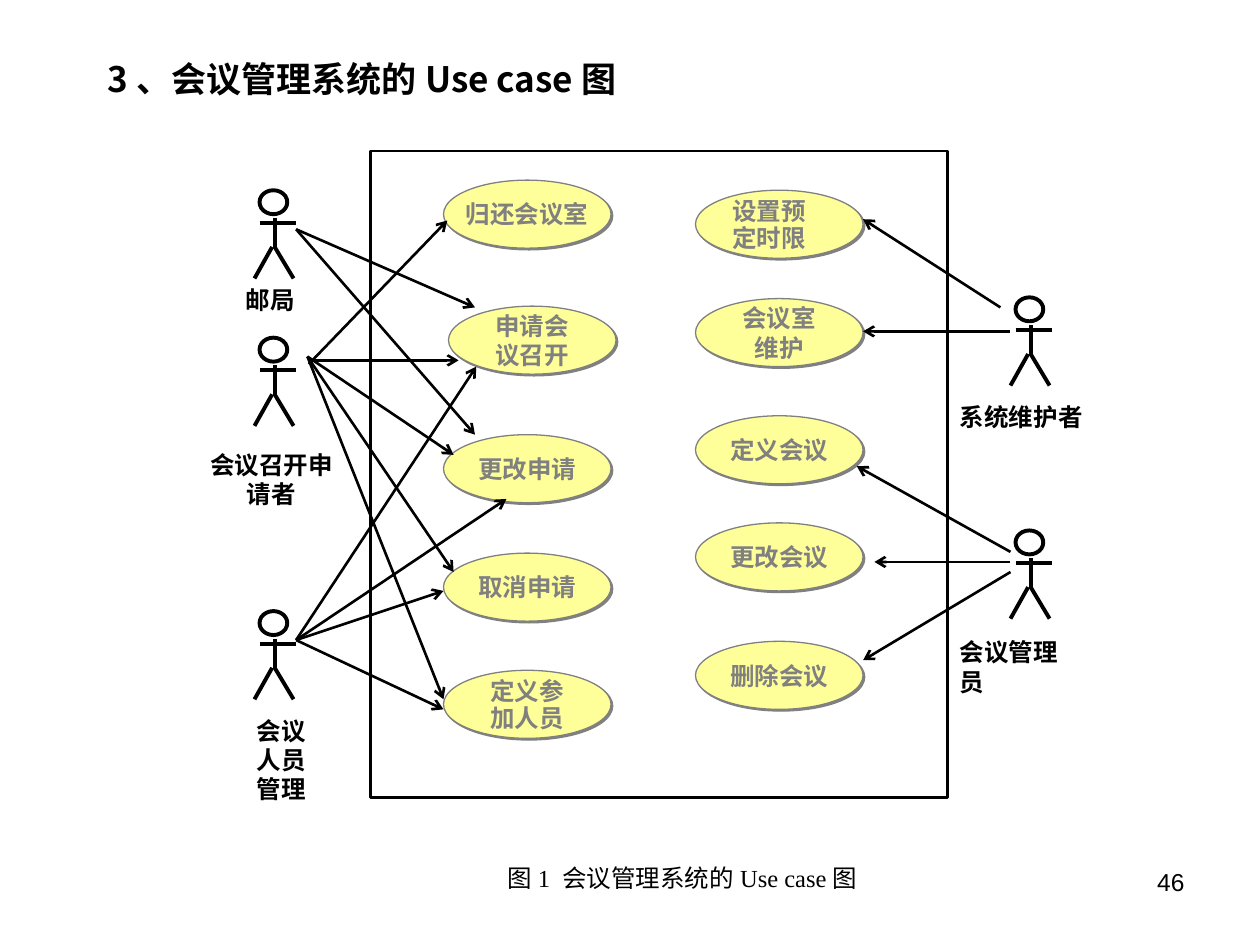
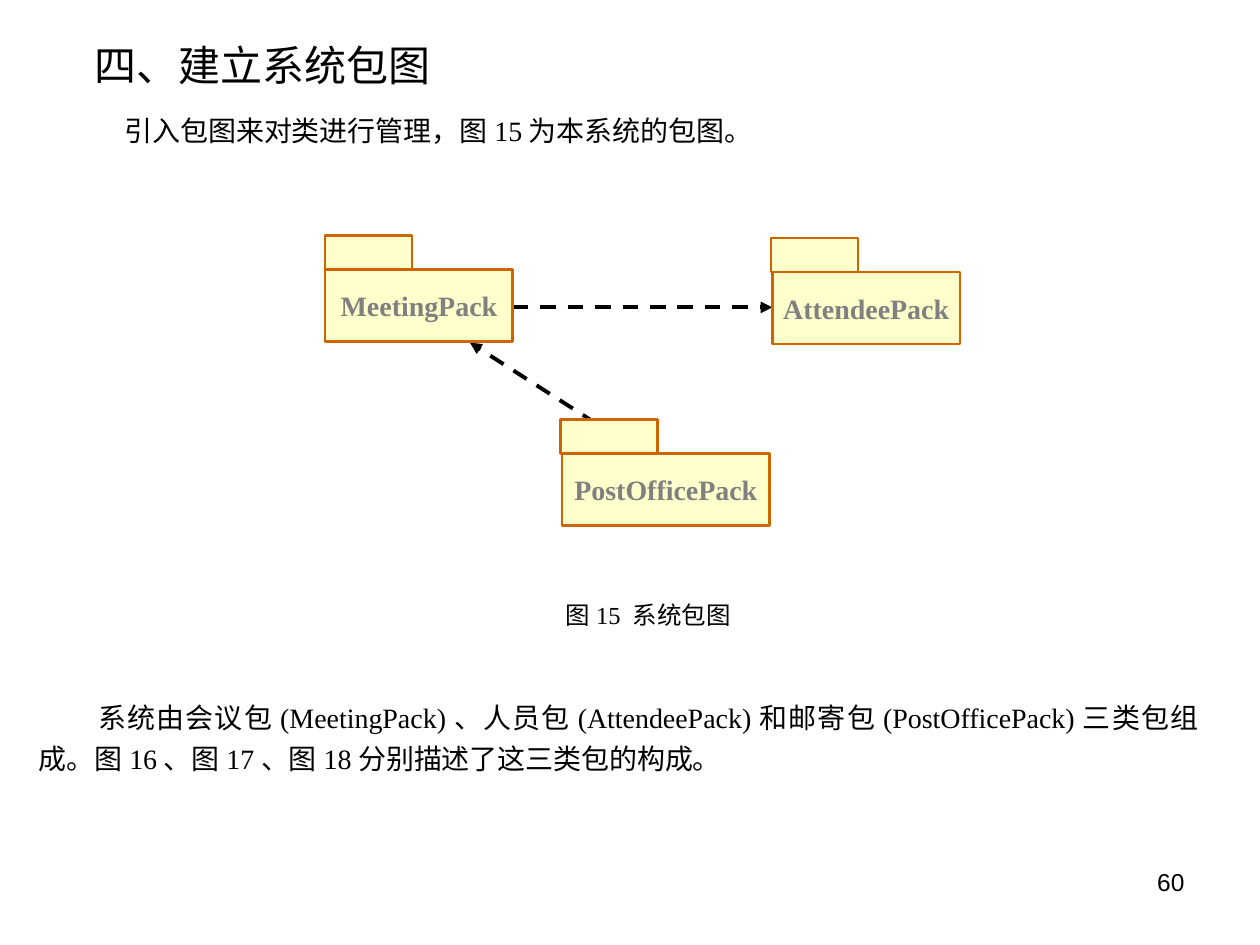
"""Build two slides of a meeting system design: a use case diagram and a package diagram."""
from lxml.etree import SubElement
from pptx import Presentation
from pptx.dml.color import RGBColor
from pptx.enum.dml import MSO_LINE
from pptx.enum.shapes import MSO_CONNECTOR, MSO_SHAPE
from pptx.enum.text import MSO_ANCHOR, MSO_AUTO_SIZE, PP_ALIGN
from pptx.oxml.ns import qn
from pptx.util import Inches, Pt

BLACK, GREY, YELLOW, CREAM, ORANGE = "000000", "808080", "FFFF99", "FFFFCC", "CC6600"
SERIF, SANS, CJK = "Times New Roman", "Arial", "Noto Sans CJK SC"
LEFT, CENTER, RIGHT, JUSTIFY = PP_ALIGN.LEFT, PP_ALIGN.CENTER, PP_ALIGN.RIGHT, PP_ALIGN.JUSTIFY
color = RGBColor.from_string


def write(box, text, size, font=SERIF, align=LEFT, bold=False, ink=BLACK, before=0, wrap=True):
    """Fill a box with text and format every run."""
    frame = box.text_frame
    frame.text = text
    frame.word_wrap = wrap
    frame.auto_size = MSO_AUTO_SIZE.NONE
    for para in frame.paragraphs:
        para.alignment = align
        para.space_before = Pt(before)
        for span in para.runs:
            span.font.name = font
            span.font.size = Pt(size)
            span.font.bold = bold
            span.font.color.rgb = color(ink)
            SubElement(span.font._element, qn("a:ea"), typeface=CJK)


def draw_line(shapes, start, end, width, arrow=None, dash=None):
    """Draw a straight black line, with an arrowhead at its end if named."""
    line = shapes.add_connector(MSO_CONNECTOR.STRAIGHT, *[Inches(n) for n in (*start, *end)])
    line.line.color.rgb = color(BLACK)
    line.line.width = Pt(width)
    if dash:
        line.line.dash_style = dash
    if arrow:
        SubElement(line.get_or_add_ln(), qn("a:tailEnd"), type=arrow)
    SubElement(line._element.spPr, qn("a:effectLst"))


deck = Presentation()
deck.slide_width, deck.slide_height = Inches(10), Inches(7.5)

pages = []
for title, left, top, size, font, bold, number in [
    ("3、会议管理系统的Use case图", 0.75, 0.33, 20, CJK, True, "46"),
    ("四、建立系统包图", 0.65, 0.22, 24, SANS, False, "60"),
]:
    page = deck.slides.add_slide(deck.slide_layouts[5])
    heading = page.shapes.title
    heading.left, heading.top = Inches(left), Inches(top)
    heading.width, heading.height = Inches(8.5), Inches(0.58)
    heading.text_frame.vertical_anchor = MSO_ANCHOR.MIDDLE
    write(heading, title, size, font, bold=bold)
    box = page.shapes.add_textbox(Inches(7.17), Inches(6.83), Inches(2.33), Inches(0.52))
    write(box, number, 14, SANS, RIGHT)
    pages.append(page)
use_case_page, package_page = pages

shapes = use_case_page.shapes
for text, left, top, align, spacing in [
    ("归还会议室", 3.52, 1.43, CENTER, 1),
    ("申请会\n议召开", 3.56, 2.43, CENTER, 1),
    ("更改申请", 3.52, 3.45, CENTER, 1),
    ("取消申请", 3.52, 4.39, CENTER, 1),
    ("定义参\n加人员", 3.52, 5.32, CENTER, 0.95),
    ("设置预\n定时限", 5.52, 1.51, LEFT, 0.95),
    ("会议室\n维护", 5.52, 2.37, CENTER, 1),
    ("定义会议", 5.52, 3.3, CENTER, 1),
    ("更改会议", 5.52, 4.15, CENTER, 1),
    ("删除会议", 5.52, 5.09, CENTER, 1),
]:
    use_case = shapes.add_shape(MSO_SHAPE.OVAL, Inches(left), Inches(top), Inches(1.33), Inches(0.54))
    use_case.fill.solid()
    use_case.fill.fore_color.rgb = color(YELLOW)
    use_case.line.color.rgb = color(GREY)
    use_case.line.width = Pt(0.75)
    use_case.shadow.inherit = False
    effects = use_case._element.spPr.find(qn("a:effectLst"))
    shadow = SubElement(effects, qn("a:outerShdw"), dist=str(Pt(1.4)), dir="2700000", algn="ctr", rotWithShape="0")
    SubElement(shadow, qn("a:srgbClr"), val=GREY)
    write(use_case, text, 14, align=align, bold=True, ink=GREY, wrap=False)
    use_case.text_frame.paragraphs[-1].line_spacing = spacing

limbs = [
    ((0.12, 0.22), (0.12, 0.46)),
    ((0.1, 0.45), (-0.04, 0.7)),
    ((0.12, 0.45), (0.27, 0.7)),
    ((0, 0.26), (0.29, 0.26)),
]
for left, top in [(2.06, 1.51), (2.06, 2.68), (2.06, 4.85), (8.06, 2.36), (8.06, 4.21)]:
    actor = shapes.add_group_shape().shapes
    head = actor.add_shape(MSO_SHAPE.OVAL, Inches(left), Inches(top), Inches(0.22), Inches(0.19))
    head.fill.background()
    head.line.color.rgb = color(BLACK)
    head.line.width = Pt(2.25)
    head.shadow.inherit = False
    for (x1, y1), (x2, y2) in limbs:
        draw_line(actor, (left + x1, top + y1), (left + x2, top + y2), 2.25)

for start, ends in [
    ((2.35, 1.82), [(3.77, 2.44), (3.77, 3.45)]),
    ((2.45, 2.89), [(3.55, 1.75)]),
    ((2.45, 2.86), [(3.64, 2.86)]),
    ((2.44, 2.83), [(3.6, 3.61), (3.6, 4.54), (3.52, 5.55)]),
    ((2.35, 5.08), [(3.78, 2.91), (4.02, 3.96), (3.52, 4.69), (3.52, 5.63)]),
    ((7.94, 2.44), [(6.85, 1.74)]),
    ((8.02, 2.63), [(6.85, 2.63)]),
    ((8.02, 4.38), [(6.8, 3.7)]),
    ((8.02, 4.46), [(6.94, 4.46)]),
    ((8.02, 4.54), [(6.85, 5.24)]),
]:
    for end in ends:
        draw_line(shapes, start, end, 1.5, "arrow")

for text, left, top, width, height, align in [
    ("邮局", 1.85, 2.21, 0.75, 0.34, LEFT),
    ("会议召开申请者", 1.49, 3.52, 1.33, 0.57, CENTER),
    ("会议人员管理", 1.94, 5.63, 0.75, 0.8, LEFT),
    ("系统维护者", 7.52, 3.14, 1.33, 0.34, LEFT),
    ("会议管理员", 7.52, 5.01, 1.1, 0.57, LEFT),
]:
    label = shapes.add_textbox(Inches(left), Inches(top), Inches(width), Inches(height))
    write(label, text, 14, align=align, bold=True, before=8.8)

boundary = shapes.add_shape(MSO_SHAPE.RECTANGLE, Inches(2.94), Inches(1.2), Inches(4.58), Inches(5.13))
boundary.fill.background()
boundary.line.color.rgb = color(BLACK)
boundary.line.width = Pt(1.5)
boundary.shadow.inherit = False

shapes = package_page.shapes
for text, left, top, width, height, spacing, indent in [
    ("引入包图来对类进行管理，图15为本系统的包图。", 0.44, 0.85, 9.11, 0.37, 1, 0.45),
    ("系统由会议包(MeetingPack)、人员包(AttendeePack)和邮寄包(PostOfficePack)三类包组成。"
     "图16、图17、图18分别描述了这三类包的构成。", 0.21, 5.46, 9.4, 0.74, 1.2, 0.47),
]:
    box = shapes.add_textbox(Inches(left), Inches(top), Inches(width), Inches(height))
    write(box, text, 16, align=JUSTIFY, before=10)
    para = box.text_frame.paragraphs[0]
    para.line_spacing = spacing
    settings = para._p.get_or_add_pPr()
    settings.set("indent", str(Inches(indent)))
    settings.set("hangingPunct", "0")

diagram = shapes.add_group_shape().shapes
for start, end in [((4.73, 3.36), (3.73, 2.72)), ((4.07, 2.44), (6.13, 2.44))]:
    draw_line(diagram, start, end, 2.25, "triangle", MSO_LINE.DASH)

for name, left, top, width, tab_left, tab_width in [
    ("MeetingPack", 2.58, 2.14, 1.49, 2.58, 0.69),
    ("AttendeePack", 6.13, 2.16, 1.49, 6.12, 0.69),
    ("PostOfficePack", 4.46, 3.6, 1.65, 4.45, 0.77),
]:
    tab = diagram.add_shape(MSO_SHAPE.RECTANGLE, Inches(tab_left), Inches(top - 0.27), Inches(tab_width), Inches(0.27))
    body = diagram.add_shape(MSO_SHAPE.RECTANGLE, Inches(left), Inches(top), Inches(width), Inches(0.57))
    for part in (tab, body):
        part.fill.solid()
        part.fill.fore_color.rgb = color(CREAM)
        part.line.color.rgb = color(ORANGE)
        part.line.width = Pt(1.5)
        part.shadow.inherit = False
    write(body, name, 16, align=CENTER, bold=True, ink=GREY, wrap=False)

for page, text, left, top, width in [
    (use_case_page, "图1 会议管理系统的Use case图", 2.54, 6.8, 5.75),
    (package_page, "图15 系统包图", 3.4, 4.71, 3.49),
]:
    caption = page.shapes.add_textbox(Inches(left), Inches(top), Inches(width), Inches(0.34))
    write(caption, text, 14, align=CENTER, before=8.8)

deck.save("out.pptx")
